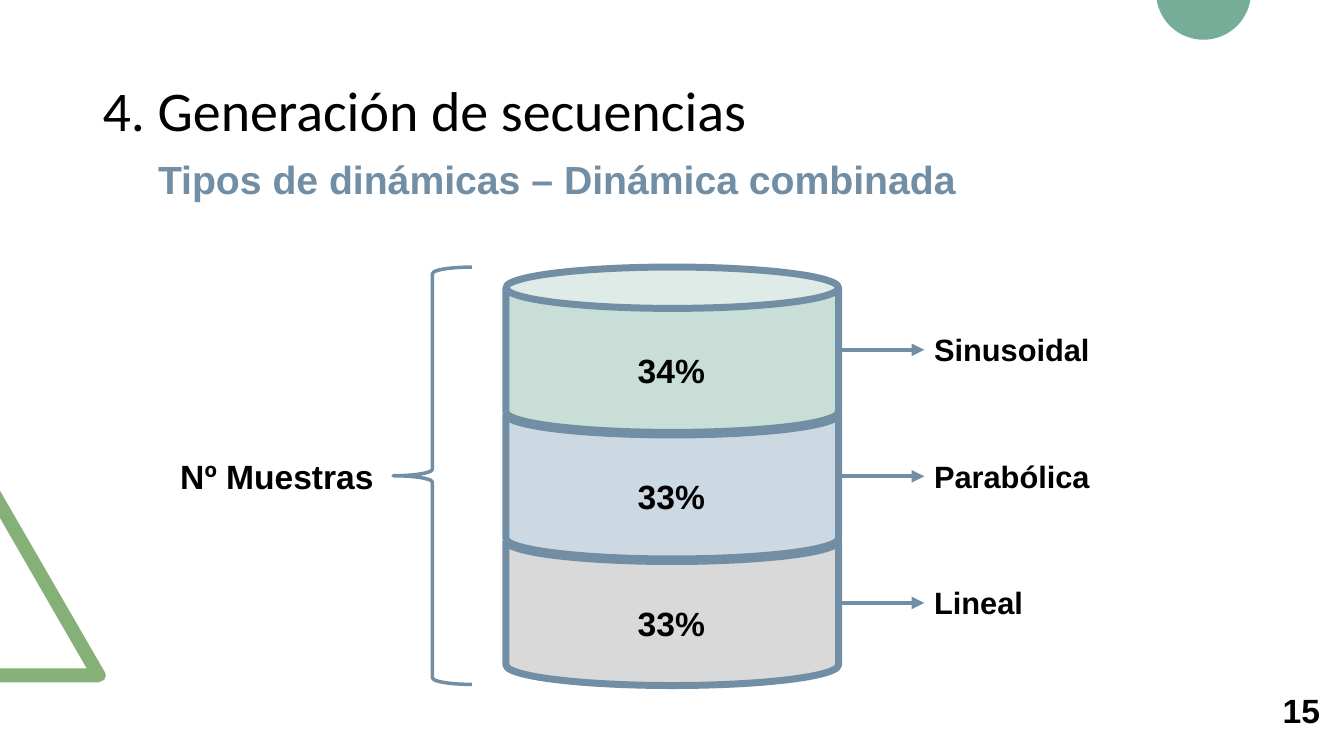
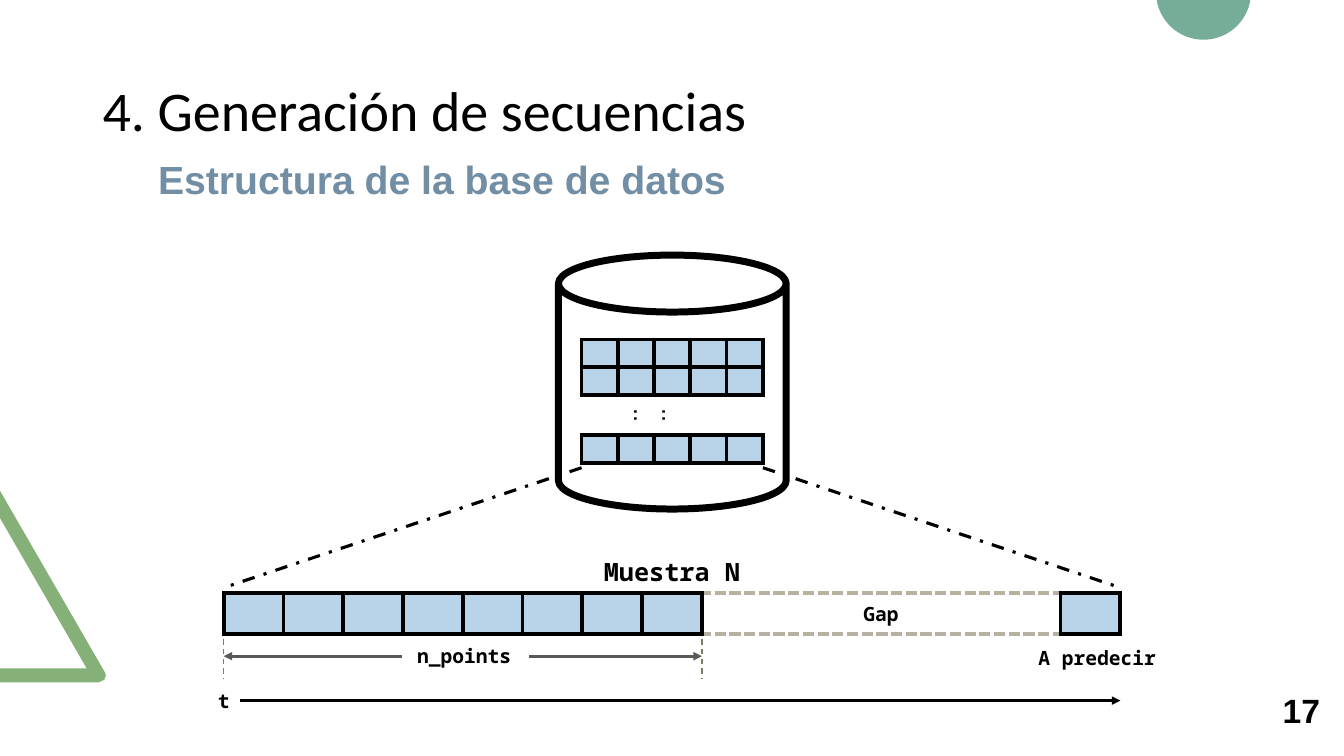
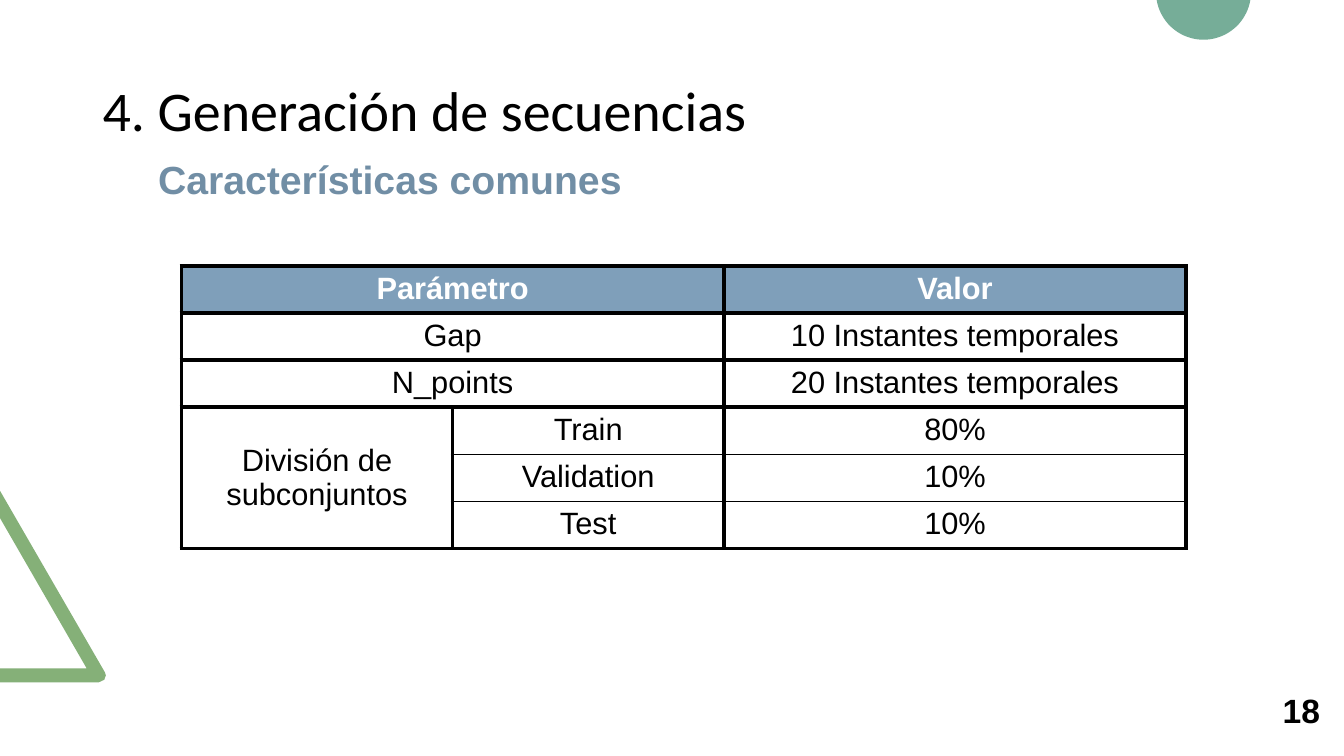
"""Three slides on sequence generation: sample mix, database layout and common settings."""
import math
from lxml import etree
from pptx import Presentation
from pptx.dml.color import RGBColor
from pptx.enum import dml, shapes, text
from pptx.oxml.ns import qn
from pptx.util import Pt

HUE = {"black": "000000", "white": "FFFFFF", "steel": "718EA5", "head": "7F9FBA",
       "leaf": "85B078", "mint": "76AD98", "pale": "C8DED6", "ice": "CCD9E3",
       "grey": "D9D9D9", "sky": "92BBDD", "sand": "B5B2A2", "dark": "595959",
       "olive": "807B65"}
RGB = {name: RGBColor.from_string(code) for name, code in HUE.items()}
MONO = "Noto Sans Mono"
MID, LEFT = text.PP_ALIGN.CENTER, text.PP_ALIGN.LEFT
DASH = dml.MSO_LINE.DASH
KIND = shapes.MSO_SHAPE


def put(frame, words, size, font="Arial", bold=True, hue="black", align=MID):
    """Write one styled run into a text frame."""
    frame.word_wrap = True
    para = frame.paragraphs[0]
    para.alignment = align
    run = para.add_run()
    run.text = words
    run.font.size, run.font.name, run.font.bold = Pt(size), font, bold
    run.font.color.rgb = RGB[hue]
    return para


def dress(cell, edges, fill=None, alpha=100):
    """Set the left, right, top and bottom edges of a cell, then its fill."""
    props = cell._tc.get_or_add_tcPr()
    for side, (hue, width, dash) in zip("LRTB", edges):
        line = etree.SubElement(props, qn(f"a:ln{side}"), w=str(Pt(width)))
        if hue is None:
            etree.SubElement(line, qn("a:noFill"))
            continue
        paint = etree.SubElement(line, qn("a:solidFill"))
        etree.SubElement(paint, qn("a:srgbClr"), val=HUE[hue])
        etree.SubElement(line, qn("a:prstDash"), val=dash)
    if fill is None:
        cell.fill.background()
        return
    cell.fill.solid()
    cell.fill.fore_color.rgb = RGB[fill]
    if alpha < 100:
        tint = props.find(".//" + qn("a:solidFill") + "[last()]/" + qn("a:srgbClr"))
        tint = props.find(qn("a:solidFill")).find(qn("a:srgbClr"))
        etree.SubElement(tint, qn("a:alpha"), val=str(alpha * 1000))


BOLD, THIN, NONE = ("black", 3, "solid"), ("black", 1, "solid"), (None, 0, "")
SAND = ("sand", 3, "dash")

deck = Presentation()
deck.slide_width, deck.slide_height = Pt(960), Pt(540)

corner = [(0, 487.4), (0, 477.4), (61.9, 477.4), (0, 370.1), (0, 350.6),
          (74.9, 480.2), (75.6, 482.4), (74.5, 485.6), (70.6, 487.4)]
rad, drop = 33.9, 5.5
start = math.asin(drop / rad)
turns = [start + (math.pi - 2 * start) * i / 40 for i in range(41)]
dome = [(859.7 + rad * math.cos(a), rad * math.sin(a) - drop) for a in turns]

pages = []
for number, topic in (("15", "Tipos de dinámicas – Dinámica combinada"),
                      ("17", "Estructura de la base de datos"),
                      ("18", "Características comunes")):
    page = deck.slides.add_slide(deck.slide_layouts[6])
    pages.append(page)
    for hue, dots in (("leaf", corner), ("mint", dome)):
        dots = [(Pt(x), Pt(y)) for x, y in dots]
        pen = page.shapes.build_freeform(*dots[0])
        pen.add_line_segments(dots[1:])
        deco = pen.convert_to_shape()
        deco.shadow.inherit = False
        deco.fill.solid()
        deco.fill.fore_color.rgb = RGB[hue]
        deco.line.fill.background()
    title = page.shapes.add_textbox(Pt(66.2), Pt(28.8), Pt(828), Pt(104.4)).text_frame
    title.vertical_anchor = text.MSO_ANCHOR.MIDDLE
    para = put(title, "4. Generación de secuencias", 40, "Calibri", False, align=LEFT)
    para.line_spacing = 0.9
    box = page.shapes.add_textbox(Pt(906.5), Pt(489.6), Pt(46), Pt(36))
    put(box.text_frame, number, 24)
    box = page.shapes.add_textbox(Pt(105.8), Pt(107.3), Pt(622), Pt(41))
    put(box.text_frame, topic, 28, hue="steel", align=LEFT)

mix, base, common = pages
top, step, tall = 190.8, 90.4, 118.1
wires = []

layers = [("34%", "Sinusoidal", "pale"), ("33%", "Parabólica", "ice"),
          ("33%", "Lineal", "grey")]
for i, (share, name, hue) in reversed(list(enumerate(layers))):
    y = top + step * i
    can = mix.shapes.add_shape(KIND.CAN, Pt(361.4), Pt(y), Pt(237.6), Pt(tall))
    can.shadow.inherit = False
    can.fill.solid()
    can.fill.fore_color.rgb = RGB[hue]
    can.line.color.rgb, can.line.width = RGB["steel"], Pt(5)
    box = mix.shapes.add_textbox(Pt(445.7), Pt(y + 55.4), Pt(67.7), Pt(36))
    put(box.text_frame, share, 24)
    half = y + tall / 2
    label = mix.shapes.add_textbox(Pt(660.2), Pt(half - 16.9), Pt(127.4), Pt(33.8))
    put(label.text_frame, name, 22, align=LEFT)
    wires.append((mix, 599, half, 660.2, half, "steel", 3, None, True, label))

brace = mix.shapes.add_shape(KIND.LEFT_BRACE, Pt(280.8), Pt(top), Pt(56.2), Pt(298.1))
brace.shadow.inherit = False
brace.fill.background()
brace.line.color.rgb, brace.line.width = RGB["steel"], Pt(2.5)
box = mix.shapes.add_textbox(Pt(121.7), Pt(321.8), Pt(156.2), Pt(36))
put(box.text_frame, "Nº Muestras", 24, align=LEFT)

can = base.shapes.add_shape(KIND.CAN, Pt(398.9), Pt(182.2), Pt(162.7), Pt(181.4))
can.shadow.inherit = False
can.fill.background()
can.line.color.rgb, can.line.width = RGB["black"], Pt(5)

unit, west = 42.7, 159.8
mid, east = west + 8 * unit, west + 15 * unit
grids = [(west, 423.4, [unit] * 8 + [6 * unit, unit], [29.5], 64),
         (415.4, 242.6, [25.9] * 5, [19.8, 19.8, 28.6, 19.8], 65)]
for x, y, cols, rows, alpha in grids:
    grid = base.shapes.add_table(len(rows), len(cols), Pt(x), Pt(y),
                                 Pt(sum(cols)), Pt(sum(rows))).table
    grid.first_row = grid.horz_banding = False
    for col, wide in zip(grid.columns, cols):
        col.width = Pt(wide)
    for r, high in enumerate(rows):
        grid.rows[r].height = Pt(high)
        for c in range(len(cols)):
            cell = grid.cell(r, c)
            cell.vertical_anchor = text.MSO_ANCHOR.MIDDLE
            if c == 8:
                dress(cell, [BOLD, BOLD, SAND, SAND])
                put(cell.text_frame, "Gap", 14, MONO)
                continue
            if r == 2:
                dress(cell, [NONE, NONE, BOLD, BOLD])
            else:
                dress(cell, [BOLD] * 4, "sky", alpha)
            if (r, c) == (2, 2):
                cell._tc.tcPr.set("vert", "vert")
                put(cell.text_frame, "....", 18, bold=False)
            else:
                para = cell.text_frame.paragraphs[0]
                etree.SubElement(para._p, qn("a:endParaRPr"), sz="800")

for x, y, wide, high, words, size in ((406.1, 393.8, 147.6, 28.8, "Muestra N", 18),
                                      (257.8, 456.5, 147.6, 24.5, "n_points", 14),
                                      (148.3, 488.2, 23, 24.5, "t", 14),
                                      (733.7, 457.9, 100.1, 24.5, "A predecir", 14)):
    box = base.shapes.add_textbox(Pt(x), Pt(y), Pt(wide), Pt(high))
    put(box.text_frame, words, size, MONO)

dot = dml.MSO_LINE.DASH_DOT
wires += [(base, 415.4, 334.1, west, 419.8, "black", 2.25, dot, False, None),
          (base, 545, 334.1, east, 419.8, "black", 2.25, dot, False, None),
          (base, 378, 468.7, mid, 468.7, "dark", 2, None, True, None),
          (base, 287.3, 468.7, west, 468.7, "dark", 2, None, True, None),
          (base, west, 456.5, west, 484.6, "olive", 1, DASH, False, None),
          (base, mid, 456.5, mid, 484.6, "olive", 1, DASH, False, None),
          (base, 171.4, 500.4, east, 500.4, "black", 2, None, True, None)]
for page, x1, y1, x2, y2, hue, width, dash, tip, label in wires:
    wire = page.shapes.add_connector(shapes.MSO_CONNECTOR.STRAIGHT,
                                     Pt(x1), Pt(y1), Pt(x2), Pt(y2))
    wire.line.color.rgb, wire.line.width = RGB[hue], Pt(width)
    if dash:
        wire.line.dash_style = dash
    if tip:
        etree.SubElement(wire.line._get_or_add_ln(), qn("a:tailEnd"), type="triangle")
    if label:
        wire.end_connect(label, 1)
    etree.SubElement(wire._element.spPr, qn("a:effectLst"))

facts = [("Parámetro", "", "Valor"), ("Gap", "", "10 Instantes temporales"),
         ("N_points", "", "20 Instantes temporales"),
         ("División de subconjuntos", "Train", "80%"),
         ("", "Validation", "10%"), ("", "Test", "10%")]
grid = common.shapes.add_table(6, 3, Pt(129.6), Pt(190.1), Pt(717.8), Pt(201.6)).table
grid.first_row = grid.horz_banding = False
for col, wide in zip(grid.columns, (193.7, 193.7, 330.4)):
    col.width = Pt(wide)
for r in range(3):
    grid.cell(r, 0).merge(grid.cell(r, 1))
grid.cell(3, 0).merge(grid.cell(5, 0))
for r, fact in enumerate(facts):
    grid.rows[r].height = Pt(33.6)
    for c, words in enumerate(fact):
        cell = grid.cell(r, c)
        west_edge = NONE if c == 1 and r < 3 else BOLD
        over = BOLD if r < 4 else THIN if c else NONE
        under = THIN if c and r in (3, 4) else BOLD
        dress(cell, [west_edge, BOLD, over, under], None if r else "head")
        if words:
            put(cell.text_frame, words, 22, bold=r == 0, hue="black" if r else "white")
        if (r, c) == (3, 0):
            cell.vertical_anchor = text.MSO_ANCHOR.MIDDLE

deck.save("out.pptx")
